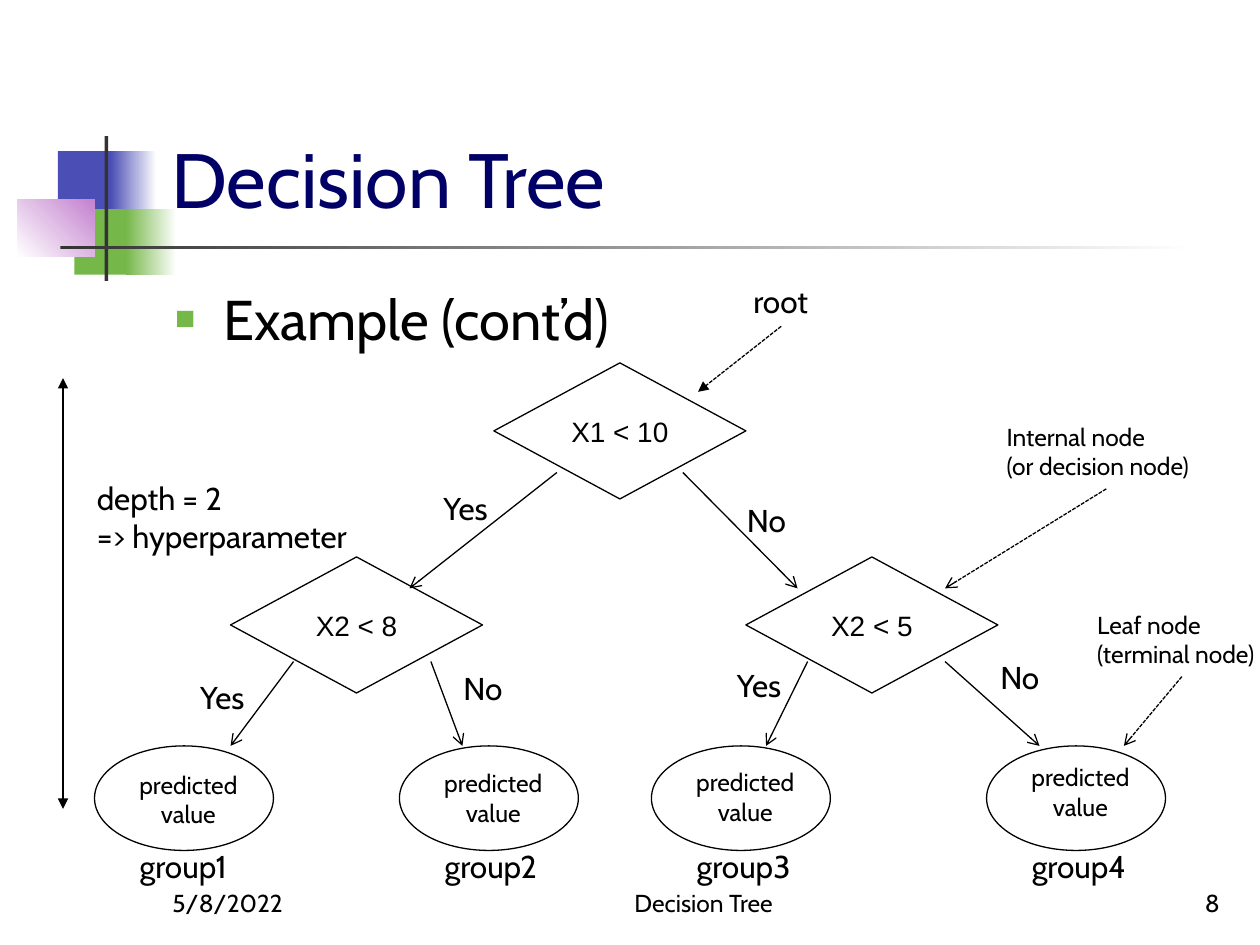
from dataclasses import dataclass

from lxml.etree import SubElement
from pptx import Presentation
from pptx.dml.color import RGBColor
from pptx.enum.dml import MSO_LINE
from pptx.enum.shapes import MSO_CONNECTOR, MSO_SHAPE
from pptx.enum.text import MSO_ANCHOR, MSO_AUTO_SIZE, PP_ALIGN
from pptx.oxml.ns import qn
from pptx.util import Inches, Pt


@dataclass(frozen=True)
class Theme:
    font: str = "Cabin"
    node_font: str = "Arial"
    black: str = "000000"
    white: str = "FFFFFF"
    navy: str = "000066"
    blue: str = "4B4EB5"
    green: str = "76B749"
    pink: str = "C481CF"
    gray: str = "333333"
    title: int = 44
    body: int = 32
    label: int = 18
    node: int = 16
    small: int = 14


T = Theme()


def inches(*values):
    return [Inches(v) for v in values]


def style(tf, size, color=T.black, font=T.font, align=PP_ALIGN.LEFT):
    for p in tf.paragraphs:
        p.alignment = align
        for r in p.runs:
            r.font.size = Pt(size)
            r.font.name = font
            r.font.color.rgb = RGBColor.from_string(color)


def add_block(s, box, *colors, angle=0):
    """Borderless rectangle, solid with one color or a gradient with two."""
    sp = s.shapes.add_shape(MSO_SHAPE.RECTANGLE, *inches(*box))
    sp.shadow.inherit = False
    sp.line.fill.background()
    if len(colors) == 1:
        sp.fill.solid()
        sp.fill.fore_color.rgb = RGBColor.from_string(colors[0])
        return
    sp.fill.gradient()
    sp.fill.gradient_angle = angle
    for stop, color in zip(sp.fill.gradient_stops, colors):
        stop.color.rgb = RGBColor.from_string(color)


def add_outline(s, kind, box, text=""):
    sp = s.shapes.add_shape(kind, *inches(*box))
    sp.shadow.inherit = False
    sp.fill.background()
    sp.line.color.rgb = RGBColor.from_string(T.black)
    sp.line.width = Pt(0.75)
    if text:
        sp.text_frame.text = text
        style(sp.text_frame, T.node, font=T.node_font, align=PP_ALIGN.CENTER)


def add_label(s, box, text, size=T.label, align=PP_ALIGN.LEFT):
    tf = s.shapes.add_textbox(*inches(*box)).text_frame
    tf.word_wrap = False
    tf.auto_size = MSO_AUTO_SIZE.SHAPE_TO_FIT_TEXT
    tf.text = text
    style(tf, size, align=align)


def add_footer(s, left, width, text, align):
    tf = s.shapes.add_textbox(*inches(left, 6.83, width, 0.5)).text_frame
    tf.word_wrap = True
    tf.vertical_anchor = MSO_ANCHOR.BOTTOM
    tf.text = text
    style(tf, T.small, align=align)


def add_arrow(s, start, end, tail="arrow", head=None, dashed=False):
    c = s.shapes.add_connector(MSO_CONNECTOR.STRAIGHT, *inches(*start, *end))
    c.line.color.rgb = RGBColor.from_string(T.black)
    c.line.width = Pt(0.75)
    if dashed:
        c.line.dash_style = MSO_LINE.SQUARE_DOT
    ln = c.line._get_or_add_ln()
    if head:
        SubElement(ln, qn("a:headEnd"), type=head)
    SubElement(ln, qn("a:tailEnd"), type=tail)
    SubElement(c._element.spPr, qn("a:effectLst"))


def fill_placeholder(sp, box, text, size, color, anchor):
    sp.left, sp.top, sp.width, sp.height = inches(*box)
    tf = sp.text_frame
    tf.text = text
    tf.auto_size = MSO_AUTO_SIZE.NONE
    tf.vertical_anchor = anchor
    style(tf, size, color)
    return tf.paragraphs[0]


def add_bullet(p):
    pPr = p._p.get_or_add_pPr()
    pPr.set("marL", str(Inches(0.38)))
    pPr.set("indent", str(-Inches(0.38)))
    SubElement(SubElement(pPr, qn("a:buClr")), qn("a:srgbClr"), val=T.green)
    SubElement(pPr, qn("a:buSzPct"), val="60000")
    SubElement(pPr, qn("a:buFont"), typeface=T.node_font)
    SubElement(pPr, qn("a:buChar"), char="■")
    p.space_before = Pt(0)


def add_decoration(s):
    add_block(s, (0.46, 1.2, 0.48, 0.52), T.blue)
    add_block(s, (0.88, 1.2, 0.36, 0.52), T.blue, T.white)
    add_block(s, (0.59, 1.66, 0.46, 0.52), T.green)
    add_block(s, (1, 1.66, 0.4, 0.52), T.green, T.white)
    add_block(s, (0.14, 1.58, 0.61, 0.46), T.white, T.pink, angle=45)
    add_block(s, (0.83, 1.08, 0.03, 1.15), T.gray)
    add_block(s, (0.48, 1.95, 9, 0.03), T.gray, T.white)


def add_tree(s):
    # Decision nodes
    for x, y, text in ((3.92, 2.88, "X1 < 10"), (1.83, 4.42, "X2 < 8"),
                       (5.92, 4.42, "X2 < 5")):
        add_outline(s, MSO_SHAPE.DIAMOND, (x, y, 2, 1.08), text)

    # Branches with their answers: start, end, label position
    branches = (
        ((4.42, 3.75), (3.25, 4.67), (3.42, 3.83)),
        ((5.42, 3.75), (6.33, 4.67), (5.83, 3.93)),
        ((2.33, 5.25), (1.83, 5.92), (1.49, 5.33)),
        ((3.42, 5.25), (3.67, 5.92), (3.58, 5.26)),
        ((6.41, 5.25), (6.08, 5.92), (5.75, 5.24)),
        ((7.5, 5.25), (8.25, 5.92), (7.84, 5.17)),
    )
    for i, (start, end, spot) in enumerate(branches):
        answer, width = (("Yes", 0.58), ("No", 0.51))[i % 2]
        add_arrow(s, start, end)
        add_label(s, (*spot, width, 0.4), answer)

    # Leaves: ellipse left, value text top
    leaves = ((0.75, 6.06), (3.17, 6.05), (5.17, 6.04), (7.83, 6))
    for i, (x, y) in enumerate(leaves, 1):
        add_outline(s, MSO_SHAPE.OVAL, (x, 5.92, 1.42, 0.83))
        add_label(s, (x + 0.24, y, 1.01, 0.57), "predicted\nvalue",
                  T.small, PP_ALIGN.CENTER)
        add_label(s, (x + 0.26, 6.67, 0.99, 0.4), f"group{i}")


def add_callouts(s):
    add_label(s, (5.88, 2.19, 0.65, 0.4), "root")
    add_arrow(s, (6.2, 2.59), (5.54, 3.11), "triangle", dashed=True)
    add_label(s, (7.89, 3.3, 1.78, 0.57),
              "Internal node\v(or decision node)", T.small)
    add_arrow(s, (8.78, 3.88), (7.5, 4.67), dashed=True)
    add_label(s, (8.61, 4.79, 1.55, 0.57),
              "Leaf node\v(terminal node)", T.small)
    add_arrow(s, (9.38, 5.37), (8.92, 5.92), dashed=True)
    # Depth of the tree
    add_arrow(s, (0.5, 3), (0.5, 6.42), "triangle", head="triangle")
    add_label(s, (0.67, 3.75, 2.43, 0.71), "depth = 2\n=> hyperparameter")


def main():
    prs = Presentation()
    prs.slide_width, prs.slide_height = inches(10, 7.5)
    s = prs.slides.add_slide(prs.slide_layouts[1])

    add_decoration(s)
    fill_placeholder(s.shapes.title, (1.26, 0.23, 8.52, 1.6), "Decision Tree",
                     T.title, T.navy, MSO_ANCHOR.BOTTOM)
    p = fill_placeholder(s.placeholders[1], (1.29, 2.21, 8.5, 4.5),
                         "Example (cont’d)", T.body, T.black, MSO_ANCHOR.TOP)
    add_bullet(p)

    add_footer(s, 1.27, 2.08, "5/8/2022", PP_ALIGN.LEFT)
    add_footer(s, 4, 3.17, "Decision Tree", PP_ALIGN.CENTER)
    add_footer(s, 7.7, 2.08, "8", PP_ALIGN.RIGHT)

    add_tree(s)
    add_callouts(s)
    prs.save("out.pptx")


if __name__ == "__main__":
    main()
